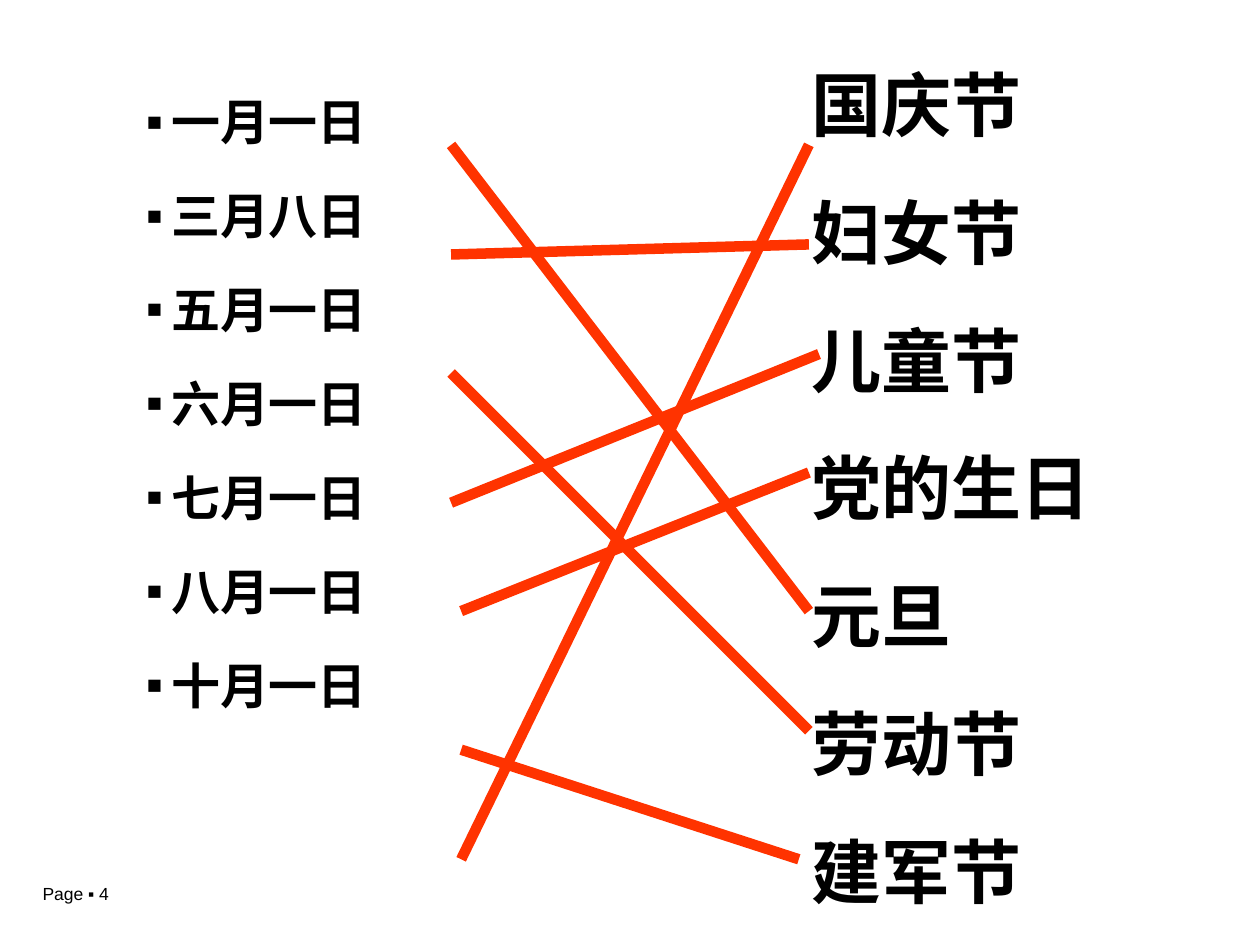
from lxml.etree import SubElement
from pptx import Presentation
from pptx.dml.color import RGBColor
from pptx.enum.lang import MSO_LANGUAGE_ID as Language
from pptx.enum.shapes import MSO_CONNECTOR as Connector
from pptx.oxml.ns import qn
from pptx.util import Inches, Pt

COLORS = {"text": "000000", "match": "FF3300"}
FONT = "Arial"

deck = Presentation()
deck.slide_width, deck.slide_height = Inches(10), Inches(7.5)
page = deck.slides.add_slide(deck.slide_layouts[6])
column = deck.slide_width / 100
row = deck.slide_height / 75


def grid(x, y):
    return round(x * column), round(y * row)


def add_text(lines, place, size, bold=False, before=0, after=0, bullet=None):
    left, top, width, height = place
    box = page.shapes.add_textbox(*grid(left, top), *grid(width, height))
    frame = box.text_frame
    frame.word_wrap = True
    for index, line in enumerate(lines):
        para = frame.paragraphs[0] if index == 0 else frame.add_paragraph()
        para.space_before = Pt(before if index else 0)
        para.space_after = Pt(after)
        if bullet:
            props = para._p.get_or_add_pPr()
            props.set("marL", str(Inches(0.2)))
            props.set("indent", str(-Inches(0.2)))
            color = SubElement(props, qn("a:buClr"))
            SubElement(color, qn("a:srgbClr"), val=COLORS["text"])
            SubElement(props, qn("a:buFont"), typeface=FONT)
            SubElement(props, qn("a:buChar"), char=bullet)
        span = para.add_run()
        span.text = line
        span.font.name = FONT
        span.font.size = Pt(size)
        span.font.bold = bold
        span.font.language_id = Language.SIMPLIFIED_CHINESE
        span.font.color.rgb = RGBColor.from_string(COLORS["text"])


dates = [month + "月一日" for month in "一五六七八十"]
dates.insert(1, "三月八日")
holidays = ["国庆节", "妇女节", "儿童节", "党的生日", "元旦", "劳动节", "建军节"]

add_text(["Page ▪ 4"], (2.4, 69.6, 14.7, 2.7), size=10)
add_text(dates, (10.6, 6.8, 90, 49.5), size=28, bold=True, after=20, bullet="▪")
add_text(holidays, (63.4, 4.4, 38.6, 68.5), size=40, bold=True, before=25)

matches = [
    ((35.8, 11.5), (64.2, 48.5)),
    ((35.8, 20.2), (64.2, 19.4)),
    ((35.8, 29.6), (64.2, 58)),
    ((35.8, 39.9), (65, 28.1)),
    ((36.6, 48.5), (64.2, 37.5)),
    ((36.6, 59.5), (63.4, 68.2)),
    ((36.6, 68.2), (64.2, 11.5)),
]
for start, end in matches:
    link = page.shapes.add_connector(Connector.STRAIGHT, *grid(*start), *grid(*end))
    link.line.color.rgb = RGBColor.from_string(COLORS["match"])
    link.line.width = Pt(6)
    SubElement(link._element.spPr, qn("a:effectLst"))

deck.save("out.pptx")
